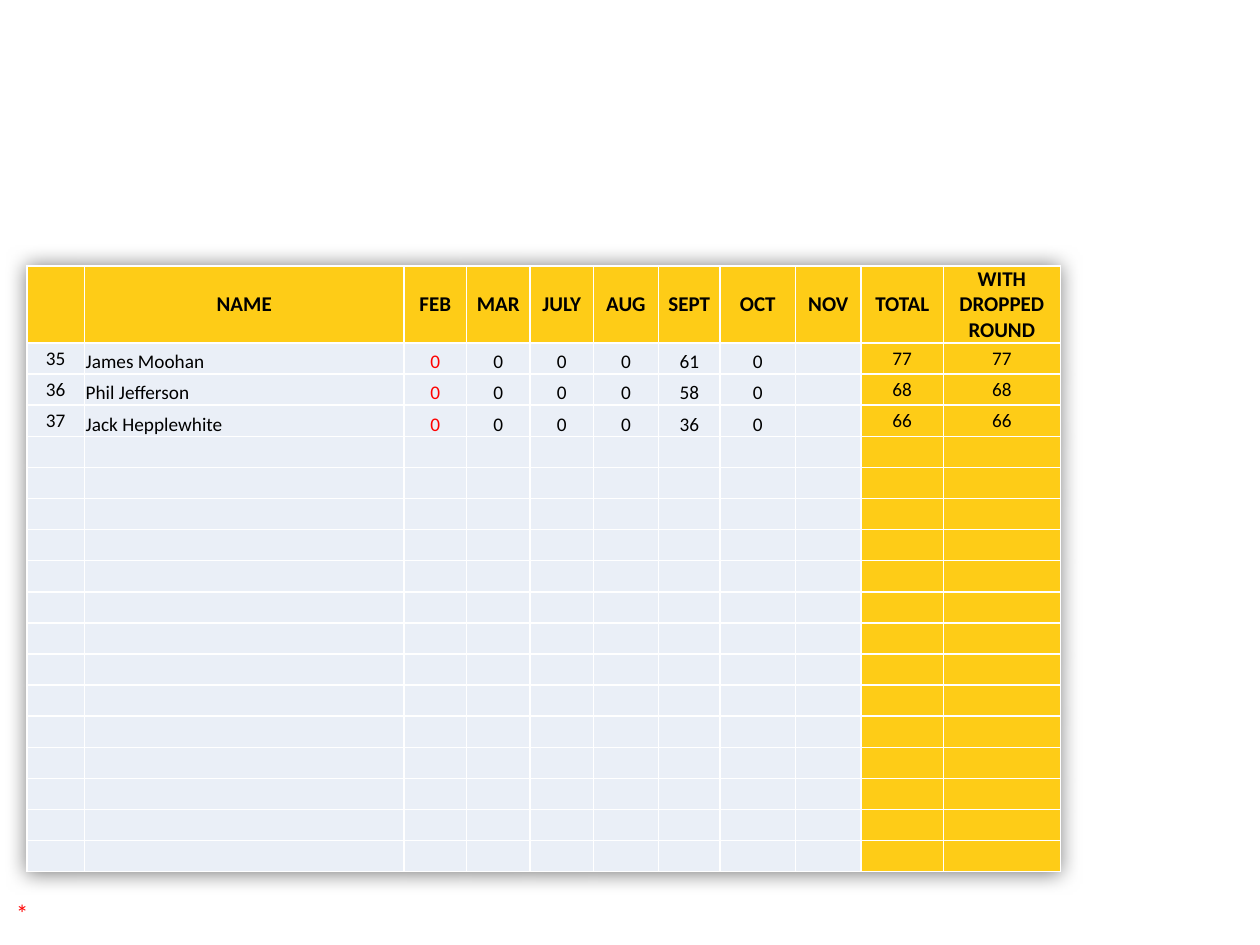
from lxml.etree import SubElement
from pptx import Presentation
from pptx.dml.color import RGBColor as RGB
from pptx.enum.text import MSO_ANCHOR as Anchor, PP_ALIGN as Align
from pptx.oxml import parse_xml
from pptx.oxml.ns import qn
from pptx.util import Pt

GOLD = RGB(0xFE, 0xCC, 0x17)
PALE = RGB(0xEA, 0xEF, 0xF7)
WHITE = RGB(0xFF, 0xFF, 0xFF)
BLACK = RGB(0, 0, 0)
RED = RGB(0xFF, 0, 0)
FONT = "Calibri"

WIDTHS = [32.9, 182.6, 35.7, 36.3, 36.3, 37.1, 35.4, 42.9, 37.7, 46.9, 66.9]
HEAD_H, ROW_H, ROWS = 44, 17.8, 18
NAME, FEB, TOTAL = 1, 2, 9
HEADS = ["", "NAME", "FEB", "MAR", "JULY", "AUG", "SEPT", "OCT", "NOV",
         "TOTAL", "WITH\nDROPPED\nROUND"]
SCORES = [
    ["35", "James Moohan", "0", "0", "0", "0", "61", "0", "", "77", "77"],
    ["36", "Phil Jefferson", "0", "0", "0", "0", "58", "0", "", "68", "68"],
    ["37", "Jack Hepplewhite", "0", "0", "0", "0", "36", "0", "", "66", "66"],
]
SHADOW = """<a:effectLst xmlns:a="http://schemas.openxmlformats.org/drawingml/2006/main">
<a:outerShdw blurRad="152400" dist="0" dir="0" algn="ctr" rotWithShape="0">
<a:srgbClr val="000000"><a:alpha val="50000"/></a:srgbClr></a:outerShdw></a:effectLst>"""


def add_run(para, text, size, color, bold=False):
    """Add one formatted run to a paragraph."""
    run = para.add_run()
    run.text = text
    font = run.font
    font.name, font.size, font.bold = FONT, Pt(size), bold
    font.color.rgb = color


def add_edges(cell):
    """Give a cell a thin white line on each side."""
    props = cell._tc.get_or_add_tcPr()
    for side in ("lnL", "lnR", "lnT", "lnB"):
        line = SubElement(props, qn(f"a:{side}"), w=str(Pt(1)))
        fill = SubElement(line, qn("a:solidFill"))
        SubElement(fill, qn("a:srgbClr"), val=str(WHITE))


def fill_cell(cell, text, row, col):
    """Style a cell by its place in the grid and write its text."""
    head = row == 0
    inset = Pt(0 if head else 0.7)
    cell.margin_left = cell.margin_right = cell.margin_top = inset
    cell.margin_bottom = 0
    middle = head or col == 0 or col >= TOTAL
    cell.vertical_anchor = Anchor.MIDDLE if middle else Anchor.BOTTOM
    add_edges(cell)
    cell.fill.solid()
    cell.fill.fore_color.rgb = GOLD if head or col >= TOTAL else PALE
    size = 12 if head else 11
    color = RED if col == FEB and not head else BLACK
    frame = cell.text_frame
    for n, line in enumerate(text.split("\n")):
        para = frame.add_paragraph() if n else frame.paragraphs[0]
        para.alignment = Align.LEFT if col == NAME and not head else Align.CENTER
        if line:
            add_run(para, line, size, color, head)
        else:
            SubElement(para._p, qn("a:endParaRPr"), sz=str(size * 100))


def add_scores(slide, left, top):
    """Place the score table with its top left corner at the given point."""
    high = HEAD_H + ROW_H * (ROWS - 1)
    frame = slide.shapes.add_table(ROWS, len(WIDTHS), Pt(left), Pt(top),
                                   Pt(sum(WIDTHS)), Pt(high))
    table = frame.table
    table.horz_banding = False
    table._tbl.tblPr.insert(0, parse_xml(SHADOW))
    for col, width in zip(table.columns, WIDTHS):
        col.width = Pt(width)
    for n, row in enumerate(table.rows):
        row.height = Pt(ROW_H if n else HEAD_H)
    blank = [[""] * len(WIDTHS)] * (ROWS - 1 - len(SCORES))
    for r, texts in enumerate([HEADS] + SCORES + blank):
        for c, text in enumerate(texts):
            fill_cell(table.cell(r, c), text, r, c)


def add_note(slide, left, top, width, height):
    """Place the red footnote mark in the given box."""
    box = slide.shapes.add_textbox(Pt(left), Pt(top), Pt(width), Pt(height))
    box.text_frame.word_wrap = True
    add_run(box.text_frame.paragraphs[0], "*", 14, RED)


def main():
    """Build the slide and save it."""
    deck = Presentation()
    deck.slide_width, deck.slide_height = Pt(720), Pt(540)
    slide = deck.slides.add_slide(deck.slide_layouts[6])
    add_scores(slide, 15.4, 152)
    add_note(slide, 2.2, 509.8, 26.6, 24.5)
    deck.save("out.pptx")


if __name__ == "__main__":
    main()
